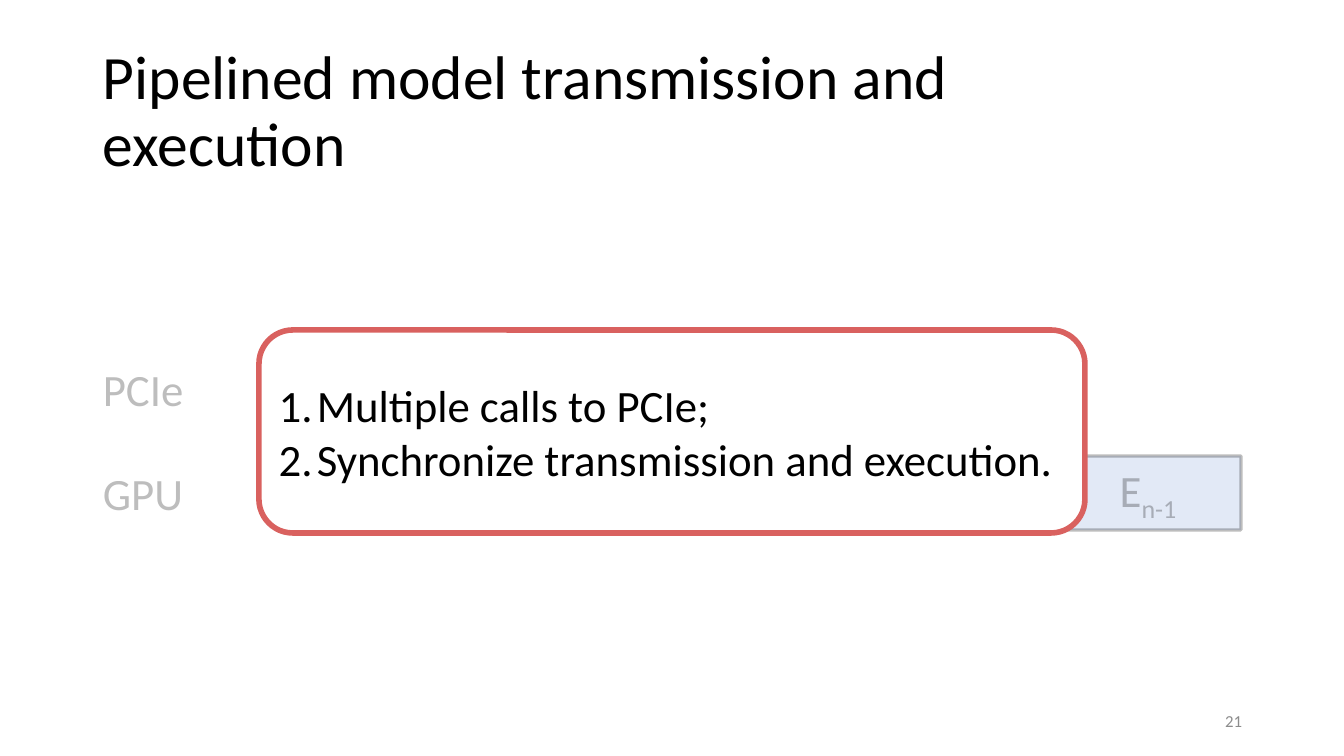
from pptx import Presentation
from pptx.dml.color import RGBColor
from pptx.enum.shapes import MSO_SHAPE
from pptx.enum.text import MSO_ANCHOR, PP_ALIGN
from pptx.oxml.ns import qn
from pptx.oxml.xmlchemy import OxmlElement
from pptx.util import Emu, Pt

SCALE = 914400 / 100.8
BLACK = "000000"


def px(size):
    return Emu(round(size * SCALE))


def paint(color, code):
    color.rgb = RGBColor.from_string(code)


def add_run(para, text, size, color=BLACK):
    run = para.add_run()
    run.text = text
    run.font.name = "Calibri"
    run.font.size = Pt(size)
    paint(run.font.color, color)
    return run


def add_label(slide, box, text, size, color=BLACK, wrap=True):
    label = slide.shapes.add_textbox(*map(px, box))
    frame = label.text_frame
    frame.word_wrap = wrap
    if wrap:
        frame.vertical_anchor = MSO_ANCHOR.MIDDLE
    add_run(frame.paragraphs[0], text, size, color)
    return label


def add_block(slide, kind, box, fill, line, width):
    block = slide.shapes.add_shape(kind, *map(px, box))
    block.shadow.inherit = False
    block.fill.solid()
    paint(block.fill.fore_color, fill)
    paint(block.line.color, line)
    block.line.width = Pt(width)
    block.text_frame.word_wrap = True
    block.text_frame.vertical_anchor = MSO_ANCHOR.MIDDLE
    return block


def fade(shape):
    """Make fill, line and text 25 percent opaque."""
    for color in shape.element.iter(qn("a:srgbClr")):
        alpha = OxmlElement("a:alpha")
        alpha.set("val", "25000")
        color.append(alpha)


def add_list(frame, items, indent):
    """Write the items as a numbered list with a hanging indent."""
    for i, item in enumerate(items):
        para = frame.add_paragraph() if i else frame.paragraphs[0]
        para.alignment = PP_ALIGN.LEFT
        props = para._p.get_or_add_pPr()
        props.set("marL", str(px(indent)))
        props.set("indent", str(-px(indent)))
        number = OxmlElement("a:buAutoNum")
        number.set("type", "arabicPeriod")
        props.append(number)
        add_run(para, item, 32)


def main():
    deck = Presentation()
    deck.slide_width, deck.slide_height = px(1344), px(756)
    slide = deck.slides.add_slide(deck.slide_layouts[6])

    title = add_label(slide, (93, 40, 1038, 146),
                      "Pipelined model transmission and execution", 44)
    title.text_frame.paragraphs[0].line_spacing = 0.9
    page = add_label(slide, (950, 701, 302, 40), "21", 12, "8C8C8C")
    page.text_frame.paragraphs[0].alignment = PP_ALIGN.RIGHT

    for row, name in enumerate(("PCIe", "GPU")):
        fade(add_label(slide, (93, 357 + 104 * row, 102, 65), name, 32,
                       wrap=False))

    stage = add_block(slide, MSO_SHAPE.RECTANGLE, (1055, 456, 186, 74),
                      "8FAADC", BLACK, 2.25)
    para = stage.text_frame.paragraphs[0]
    para.alignment = PP_ALIGN.CENTER
    add_run(para, "E", 32)
    index = add_run(para, "n-1", 32)
    index.font._element.set("baseline", "-25000")
    fade(stage)

    callout = add_block(slide, MSO_SHAPE.ROUNDED_RECTANGLE,
                        (259, 330, 826, 203), "FFFFFF", "D9615F", 4)
    add_list(callout.text_frame,
             ("Multiple calls to PCIe;",
              "Synchronize transmission and execution."), 38)

    deck.save("out.pptx")


if __name__ == "__main__":
    main()
